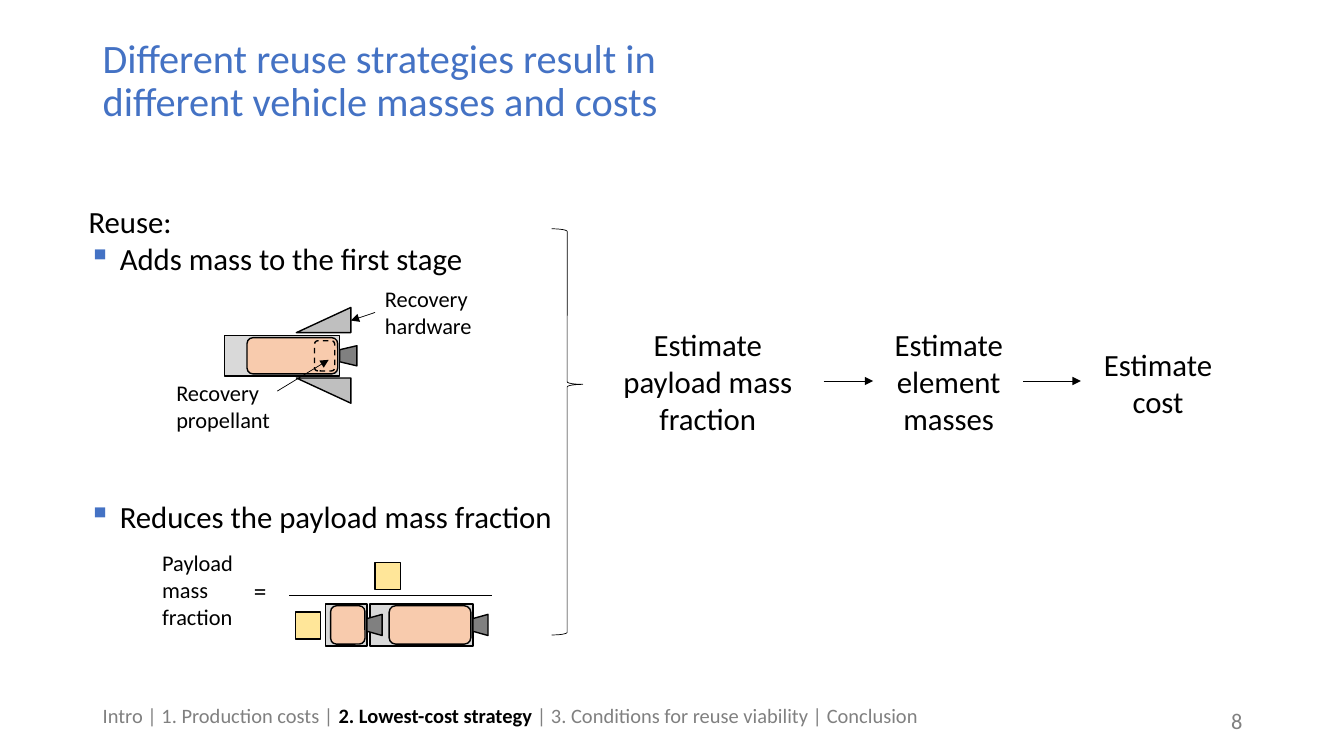
from dataclasses import dataclass

from lxml.etree import SubElement
from pptx import Presentation
from pptx.dml.color import RGBColor
from pptx.enum.dml import MSO_LINE
from pptx.enum.shapes import MSO_CONNECTOR, MSO_SHAPE
from pptx.enum.text import MSO_ANCHOR, PP_ALIGN
from pptx.oxml.ns import qn
from pptx.util import Inches, Pt


@dataclass(frozen=True)
class Theme:
    """Colours, type sizes and line widths of the slide."""
    font: str = "Calibri"
    accent: str = "4472C4"
    ink: str = "000000"
    muted: str = "808080"
    body: str = "D9D9D9"
    tank: str = "F8CBAD"
    wing: str = "BFBFBF"
    payload: str = "FFE699"
    title_size: float = 28.8
    text_size: float = 22
    sign_size: float = 18
    label_size: float = 16
    footer_size: float = 14.6
    outline: float = 1
    thin: float = 0.5


@dataclass(frozen=True)
class Box:
    """A rectangle in inches."""
    left: float
    top: float
    width: float
    height: float

    def inside(self, left, top, width, height):
        """Return a box offset from this one."""
        return Box(self.left + left, self.top + top, width, height)

    def lengths(self):
        """Return the four lengths for python-pptx."""
        return [Inches(value) for value in (self.left, self.top, self.width, self.height)]


THEME = Theme()


def color(value):
    """Turn a hex string into a colour."""
    return RGBColor.from_string(value)


def add_frame(slide, box, anchor=MSO_ANCHOR.TOP, wrap=True):
    """Add a text box and return its text frame."""
    frame = slide.shapes.add_textbox(*box.lengths()).text_frame
    frame.word_wrap = wrap
    frame.vertical_anchor = anchor
    return frame


def add_run(paragraph, text, size, ink=THEME.ink, bold=False):
    """Add one formatted run."""
    run = paragraph.add_run()
    run.text = text
    run.font.name = THEME.font
    run.font.size = Pt(size)
    run.font.bold = bold
    run.font.color.rgb = color(ink)


def add_label(slide, box, text, size=THEME.label_size, align=PP_ALIGN.LEFT, wrap=True):
    """Add a one-paragraph label."""
    paragraph = add_frame(slide, box, wrap=wrap).paragraphs[0]
    paragraph.alignment = align
    add_run(paragraph, text, size)


def add_bullet(paragraph):
    """Give a paragraph a hanging square bullet."""
    properties = paragraph._p.get_or_add_pPr()
    properties.set("marL", str(Inches(0.31)))
    properties.set("indent", str(-Inches(0.31)))
    bullet_color = SubElement(properties, qn("a:buClr"))
    SubElement(bullet_color, qn("a:srgbClr"), val=THEME.accent)
    SubElement(properties, qn("a:buChar"), char="▪")


def add_part(shapes, kind, box, fill=None, rotation=0, width=THEME.outline):
    """Add an outlined shape that fills the box once rotated."""
    if rotation % 180:
        shift = (box.width - box.height) / 2
        box = box.inside(shift, -shift, box.height, box.width)
    shape = shapes.add_shape(kind, *box.lengths())
    shape.rotation = rotation
    shape.shadow.inherit = False
    if fill:
        shape.fill.solid()
        shape.fill.fore_color.rgb = color(fill)
    else:
        shape.fill.background()
    shape.line.color.rgb = color(THEME.ink)
    shape.line.width = Pt(width)
    return shape


def add_line(slide, start, end, width=THEME.thin, arrow=True):
    """Add a straight line, with an arrowhead unless told otherwise."""
    points = [Inches(value) for value in (*start, *end)]
    connector = slide.shapes.add_connector(MSO_CONNECTOR.STRAIGHT, *points)
    connector.line.color.rgb = color(THEME.ink)
    connector.line.width = Pt(width)
    if arrow:
        SubElement(connector.line._get_or_add_ln(), qn("a:tailEnd"), type="triangle")
    SubElement(connector._element.spPr, qn("a:effectLst"))


def add_stage(shapes, box, tank_length, engine_width, engine_depth):
    """Draw a rocket stage whose body fills the box, with its engine on the right."""
    inset = 0.02
    add_part(shapes, MSO_SHAPE.RECTANGLE, box, THEME.body)
    tank = box.inside(box.width - tank_length - inset, inset, tank_length, box.height - 2 * inset)
    add_part(shapes, MSO_SHAPE.ROUNDED_RECTANGLE, tank, THEME.tank)
    engine = box.inside(box.width, (box.height - engine_width) / 2, engine_depth, engine_width)
    add_part(shapes, MSO_SHAPE.FLOWCHART_MANUAL_OPERATION, engine, THEME.muted, 90)


def add_title(slide, box):
    """Write the two-line title."""
    paragraph = add_frame(slide, box, MSO_ANCHOR.MIDDLE).paragraphs[0]
    paragraph.line_spacing = 0.9
    add_run(paragraph, "Different reuse strategies result in", THEME.title_size, THEME.accent)
    paragraph.add_line_break()
    add_run(paragraph, "different vehicle masses and costs", THEME.title_size, THEME.accent)


def add_reuse_effects(slide, box):
    """Write the reuse heading and its two bullets."""
    frame = add_frame(slide, box)
    add_run(frame.paragraphs[0], "Reuse:", THEME.text_size)
    for text, gap in (("Adds mass to the first stage", 0),
                      ("Reduces the payload mass fraction", 158)):
        paragraph = frame.add_paragraph()
        paragraph.space_before = Pt(gap)
        add_bullet(paragraph)
        add_run(paragraph, text, THEME.text_size)


def add_recovery_stage(slide, box):
    """Draw the reusable first stage with its recovery labels."""
    shapes = slide.shapes.add_group_shape().shapes
    add_stage(shapes, box.inside(0.58, 0.55, 1.14, 0.4), 0.9, 0.2, 0.17)
    for top, rotation in ((0.27, 270), (0.97, 180)):
        wing = box.inside(1.29, top, 0.54, 0.25)
        if rotation == 270:
            wing_shape = MSO_SHAPE.RIGHT_TRIANGLE
            add_part(shapes, wing_shape, wing, THEME.wing).rotation = 0
            shapes[-1].element.spPr.xfrm.set("flipH", "1")
        else:
            add_part(shapes, MSO_SHAPE.RIGHT_TRIANGLE, wing, THEME.wing, rotation)
    propellant = add_part(shapes, MSO_SHAPE.ROUNDED_RECTANGLE,
                          box.inside(1.47, 0.6, 0.2, 0.3), rotation=270)
    propellant.line.dash_style = MSO_LINE.DASH
    for text, place, start, end in (
            ("Recovery hardware", (2.07, 0, 1.34, 0.64), (2.07, 0.32), (1.83, 0.4)),
            ("Recovery propellant", (0, 0.93, 1.42, 0.64), (1.1, 1.1), (1.61, 0.79))):
        add_label(slide, box.inside(*place), text)
        add_line(slide, *[(box.left + x, box.top + y) for x, y in (start, end)])


def add_payload_fraction(slide, box):
    """Draw payload over payload plus both stages."""
    add_label(slide, box.inside(0, 0, 1.25, 0.91), "Payload mass fraction")
    add_label(slide, box.inside(0.91, 0.26, 0.33, 0.4), "=", THEME.sign_size, wrap=False)
    bar = box.top + 0.51
    add_line(slide, (box.left + 1.36, bar), (box.left + 3.37, bar), THEME.outline, arrow=False)
    shapes = slide.shapes.add_group_shape().shapes
    for left, length, tank_length in ((2.16, 1.02, 0.81), (1.72, 0.41, 0.34)):
        add_stage(shapes, box.inside(left, 0.59, length, 0.42), tank_length, 0.21, 0.15)
    for target, left, top in ((shapes, 1.42, 0.67), (slide.shapes, 2.21, 0.18)):
        add_part(target, MSO_SHAPE.RECTANGLE, box.inside(left, top, 0.25, 0.27), THEME.payload)


def add_estimates(slide, box):
    """Draw the brace and the three estimating steps."""
    brace = add_part(slide.shapes, MSO_SHAPE.RIGHT_BRACE, box.inside(0, 0, 0.31, 4.03),
                     width=THEME.thin)
    brace.adjustments[0] = 0.083
    brace.adjustments[1] = 0.383
    for text, place in (("Estimate payload mass fraction", (0.52, 0.91, 2.06, 1.21)),
                        ("Estimate element masses", (3.19, 0.91, 1.5, 1.21)),
                        ("Estimate cost", (5.34, 1.11, 1.35, 0.84))):
        add_label(slide, box.inside(*place), text, THEME.text_size, PP_ALIGN.CENTER)
    middle = box.top + 1.51
    for start, end in ((2.7, 3.19), (4.68, 5.25)):
        add_line(slide, (box.left + start, middle), (box.left + end, middle))


def add_footer(slide, box):
    """Write the section trail and the page number."""
    trail = add_frame(slide, box.inside(0, 0, 8.43, 0.4)).paragraphs[0]
    trail.line_spacing = 0.9
    for text, active in (("Intro | 1. Production costs | ", False),
                         ("2. Lowest-cost strategy ", True),
                         ("| 3. Conditions for reuse viability | Conclusion", False)):
        add_run(trail, text, THEME.footer_size, THEME.ink if active else THEME.muted, active)
    number = add_frame(slide, box.inside(8.5, 0, 3, 0.4), MSO_ANCHOR.MIDDLE).paragraphs[0]
    number.alignment = PP_ALIGN.RIGHT
    add_run(number, "8", THEME.label_size, THEME.muted)


def main():
    """Build and save the slide."""
    presentation = Presentation()
    presentation.slide_width = Inches(13.33)
    presentation.slide_height = Inches(7.5)
    slide = presentation.slides.add_slide(presentation.slide_layouts[6])
    add_title(slide, Box(0.92, 0.4, 11.5, 0.83))
    add_reuse_effects(slide, Box(0.78, 1.96, 4.84, 3.43))
    add_recovery_stage(slide, Box(1.65, 2.78, 3.41, 1.57))
    add_payload_fraction(slide, Box(1.51, 5.4, 3.37, 1.01))
    add_estimates(slide, Box(5.47, 2.27, 6.69, 4.03))
    add_footer(slide, Box(0.92, 6.95, 11.5, 0.4))


    presentation.save("out.pptx")


if __name__ == "__main__":
    main()
